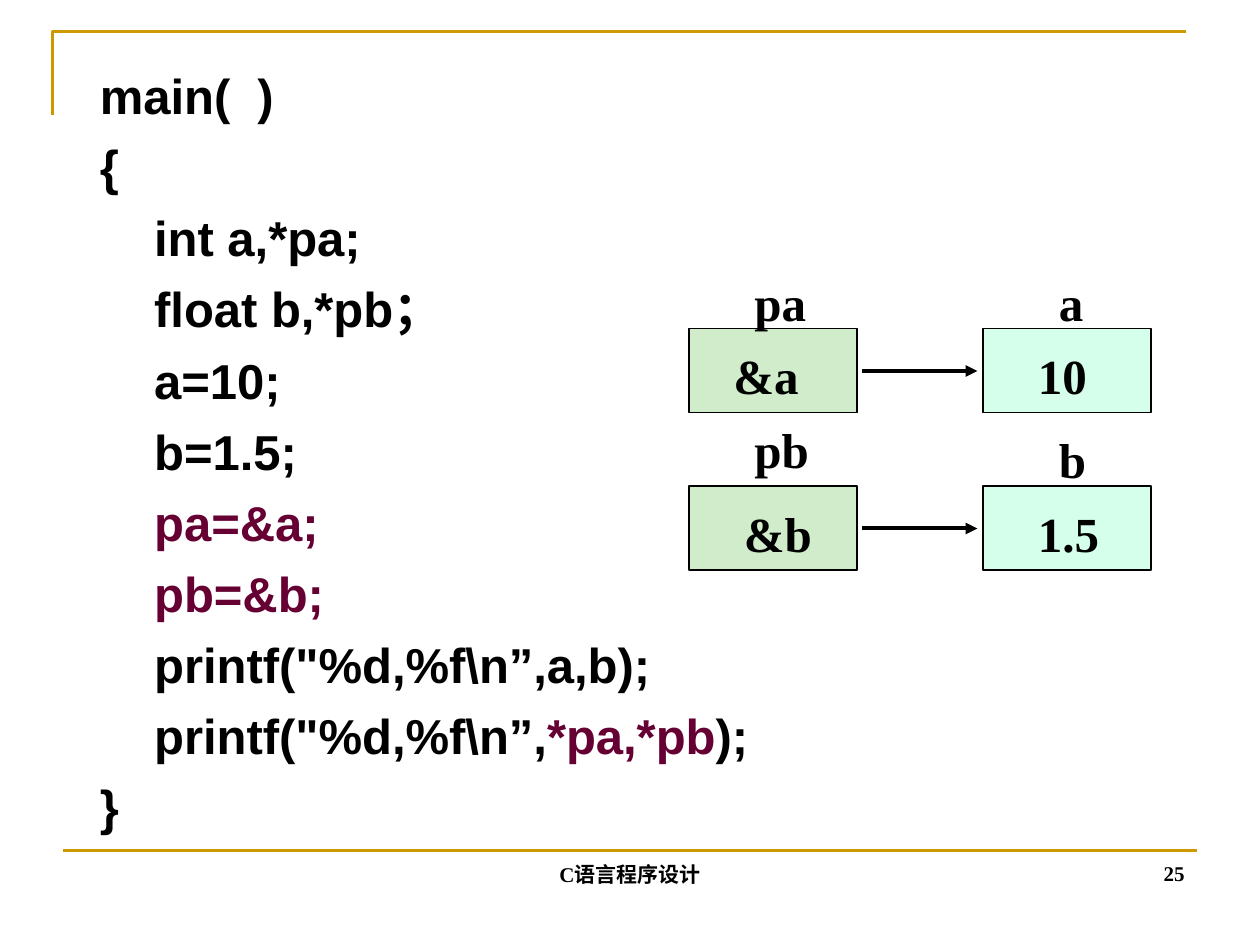
from pptx import Presentation
from pptx.dml.color import RGBColor
from pptx.enum.shapes import MSO_CONNECTOR as LineKind, MSO_SHAPE as Preset
from pptx.enum.text import MSO_ANCHOR as Anchor, PP_ALIGN as Align
from pptx.oxml.ns import qn
from pptx.util import Pt
from lxml.etree import SubElement

COLORS = {"ink": "000000", "accent": "660033", "rule": "CC9900",
          "pointer": "D0ECCB", "variable": "D6FFEB"}


def color(name):
    return RGBColor.from_string(COLORS[name])


def add_text(text, left, top, width, height, font="Times New Roman", size=28,
             align=Align.LEFT, anchor=Anchor.TOP, wrap=True, before=0):
    """Text is a list of paragraphs, each a list of (words, color name)."""
    box = page.shapes.add_textbox(Pt(left), Pt(top), Pt(width), Pt(height))
    frame = box.text_frame
    frame.word_wrap = wrap
    frame.vertical_anchor = anchor
    for index, parts in enumerate(text):
        para = frame.add_paragraph() if index else frame.paragraphs[0]
        para.alignment = align
        para.space_before = Pt(before if index else 0)
        for words, ink in parts:
            span = para.add_run()
            span.text = words
            span.font.name = font
            span.font.size = Pt(size)
            span.font.bold = True
            span.font.color.rgb = color(ink)


deck = Presentation()
deck.slide_width, deck.slide_height = Pt(720), Pt(540)
page = deck.slides.add_slide(deck.slide_layouts[6])

# Corner frame at the top
builder = page.shapes.build_freeform(Pt(30), Pt(66))
builder.add_line_segments([(Pt(30), Pt(18)), (Pt(678), Pt(18))], close=False)
corner = builder.convert_to_shape()
corner.shadow.inherit = False
corner.fill.background()
corner.line.color.rgb = color("rule")
corner.line.width = Pt(1.5)

# Program listing
code = [
    [("main(  )", "ink")],
    [("{", "ink")],
    [("    int a,*pa;", "ink")],
    [("    float b,*pb；", "ink")],
    [("    a=10;", "ink")],
    [("    b=1.5;", "ink")],
    [("    pa=&a;", "accent")],
    [("    pb=&b;", "accent")],
    [('    printf("%d,%f\\n”,a,b);', "ink")],
    [('    printf("%d,%f\\n”,', "ink"), ("*pa,*pb", "accent"), (");", "ink")],
    [("}", "ink")],
]
add_text(code, 50, 34, 388, 456, font="Arial", before=7)

# Memory cells: pointers on the left, variables on the right
for left, fill in ((393.75, "pointer"), (561.75, "variable")):
    for top in (187.75, 277.75):
        cell = page.shapes.add_shape(Preset.RECTANGLE, Pt(left), Pt(top), Pt(96), Pt(48))
        cell.shadow.inherit = False
        cell.fill.solid()
        cell.fill.fore_color.rgb = color(fill)
        cell.line.color.rgb = color("ink")
        cell.line.width = Pt(1)

# Names above the cells and values inside them
labels = [("pa", 424, 152), ("pb", 424, 236), ("a", 598, 152), ("b", 598, 242),
          ("&a", 412, 194), ("&b", 418, 284), ("10", 586, 194), ("1.5", 586, 284)]
for words, left, top in labels:
    add_text([[(words, "ink")]], left, top, 60, 41, wrap=False)

# Pointer arrows and the footer rule
lines = [(492.5, 212, 558.5, "ink", 2.25), (492.5, 302, 558.5, "ink", 2.25),
         (36, 486, 684, "rule", 1.5)]
for start, height, end, ink, weight in lines:
    line = page.shapes.add_connector(LineKind.STRAIGHT, Pt(start), Pt(height),
                                     Pt(end), Pt(height))
    line.line.color.rgb = color(ink)
    line.line.width = Pt(weight)
    outline = line._element.spPr
    if ink == "ink":
        SubElement(outline.find(qn("a:ln")), qn("a:tailEnd"), type="triangle")
    SubElement(outline, qn("a:effectLst"))

# Footer
add_text([[("C语言程序设计", "ink")]], 246, 474.5, 228, 36, size=12,
         align=Align.CENTER, anchor=Anchor.BOTTOM)
add_text([[("25", "ink")]], 516, 473.5, 168, 36, size=12,
         align=Align.RIGHT, anchor=Anchor.BOTTOM)

deck.save("out.pptx")
